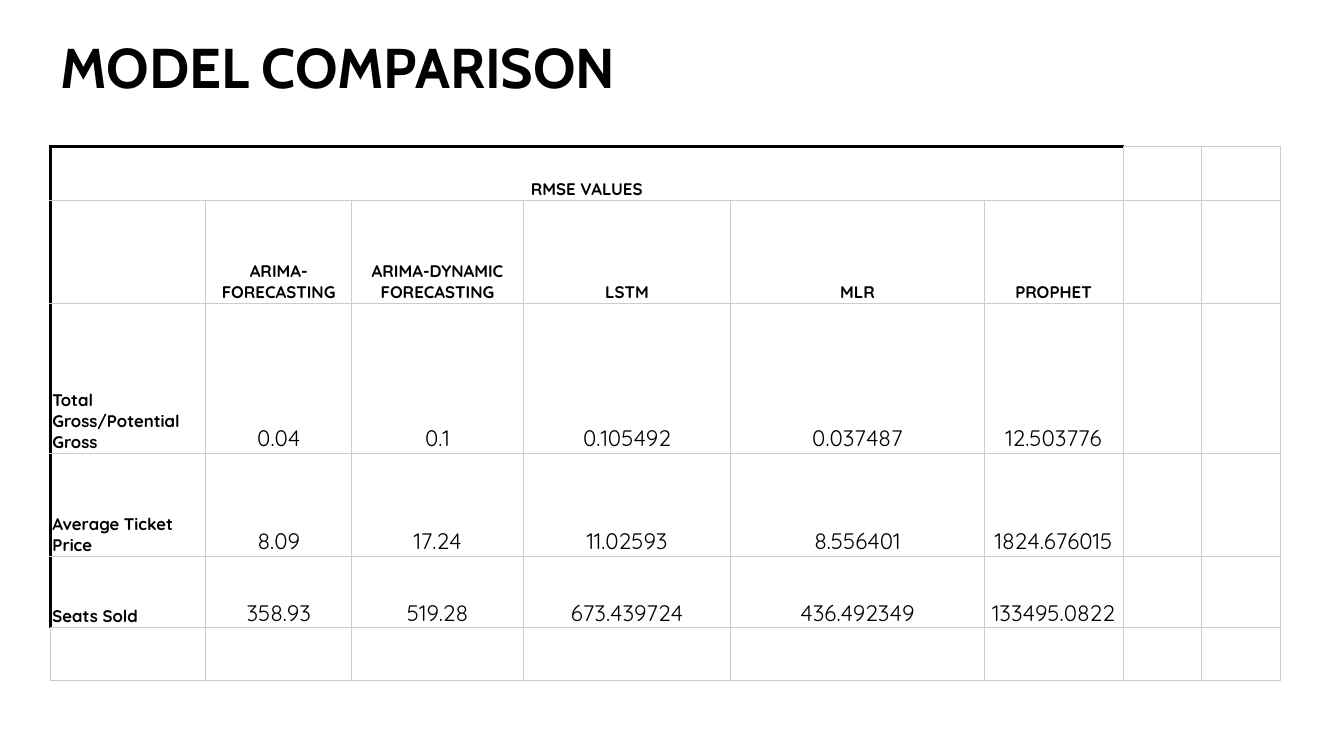
from typing import NamedTuple

import lxml.etree
import pptx
import pptx.dml.color
import pptx.enum.text
import pptx.oxml.ns
import pptx.slide
import pptx.table
import pptx.text.text
import pptx.util

PX = 9144  # EMU; 100 px to the inch
BLACK = pptx.dml.color.RGBColor(0x00, 0x00, 0x00)
WHITE = pptx.dml.color.RGBColor(0xFF, 0xFF, 0xFF)
GRID_GREY = pptx.dml.color.RGBColor(0xCC, 0xCC, 0xCC)

LEFT = pptx.enum.text.PP_ALIGN.LEFT
CENTER = pptx.enum.text.PP_ALIGN.CENTER


class TextStyle(NamedTuple):
    font: str
    size: int
    bold: bool
    align: pptx.enum.text.PP_ALIGN


class Border(NamedTuple):
    color: pptx.dml.color.RGBColor
    width: float


TITLE = TextStyle("Cabin", 40, True, LEFT)
HEADING = TextStyle("Quicksand", 12, True, CENTER)
ROW_LABEL = TextStyle("Quicksand", 12, True, LEFT)
VALUE = TextStyle("Quicksand", 16, False, CENTER)

GRID_LINE = Border(GRID_GREY, 0.75)
FRAME_LINE = Border(BLACK, 2.25)

COLUMN_WIDTHS = (154, 145, 170, 206, 251, 138, 78, 78)
ROW_HEIGHTS = (54, 102, 149, 102, 71, 52)
MODEL_COLUMNS = 6  # columns under the RMSE heading, row labels included

RMSE_ROWS = (
    ("RMSE VALUES",),
    ("", "ARIMA-FORECASTING", "ARIMA-DYNAMIC FORECASTING", "LSTM", "MLR", "PROPHET"),
    ("Total Gross/Potential Gross", "0.04", "0.1", "0.105492", "0.037487", "12.503776"),
    ("Average Ticket Price", "8.09", "17.24", "11.02593", "8.556401", "1824.676015"),
    ("Seats Sold", "358.93", "519.28", "673.439724", "436.492349", "133495.0822"),
)


def write_text(frame: pptx.text.text.TextFrame, text: str, style: TextStyle) -> None:
    para = frame.paragraphs[0]
    para.text = text
    para.alignment = style.align
    para.font.name = style.font
    para.font.size = pptx.util.Pt(style.size)
    para.font.bold = style.bold
    para.font.color.rgb = BLACK


def set_borders(cell: pptx.table._Cell, left: Border, top: Border) -> None:
    """Draw all four cell edges; right and bottom are always grid lines."""
    properties = cell._tc.get_or_add_tcPr()
    edges = {"lnL": left, "lnR": GRID_LINE, "lnT": top, "lnB": GRID_LINE}
    for position, (tag, border) in enumerate(edges.items()):
        line = lxml.etree.Element(
            pptx.oxml.ns.qn(f"a:{tag}"), w=str(pptx.util.Pt(border.width))
        )
        fill = lxml.etree.SubElement(line, pptx.oxml.ns.qn("a:solidFill"))
        lxml.etree.SubElement(fill, pptx.oxml.ns.qn("a:srgbClr"), val=str(border.color))
        properties.insert(position, line)


def style_for(row: int, column: int) -> TextStyle:
    if row < 2:
        return HEADING
    return VALUE if column else ROW_LABEL


def fill_cell(cell: pptx.table._Cell, text: str, style: TextStyle) -> None:
    cell.vertical_anchor = pptx.enum.text.MSO_ANCHOR.BOTTOM
    cell.margin_left = cell.margin_right = 2 * PX
    cell.margin_top = cell.margin_bottom = 1 * PX
    write_text(cell.text_frame, text, style)


def add_title(slide: pptx.slide.Slide) -> None:
    box = slide.shapes.add_textbox(50 * PX, 27 * PX, 828 * PX, 77 * PX)
    box.text_frame.word_wrap = True
    write_text(box.text_frame, "MODEL COMPARISON", TITLE)


def add_rmse_table(slide: pptx.slide.Slide) -> None:
    table = slide.shapes.add_table(
        len(ROW_HEIGHTS), len(COLUMN_WIDTHS), 50 * PX, 145 * PX,
        sum(COLUMN_WIDTHS) * PX, sum(ROW_HEIGHTS) * PX,
    ).table
    table.first_row = False
    table.horz_banding = False
    for column, width in zip(table.columns, COLUMN_WIDTHS):
        column.width = width * PX
    for row, height in zip(table.rows, ROW_HEIGHTS):
        row.height = height * PX

    for row in range(len(ROW_HEIGHTS)):
        for column in range(len(COLUMN_WIDTHS)):
            cell = table.cell(row, column)
            texts = RMSE_ROWS[row] if row < len(RMSE_ROWS) else ()
            text = texts[column] if column < len(texts) else ""
            style = style_for(row, column)
            if text:
                fill_cell(cell, text, style)
            if text and style is VALUE:
                cell.fill.solid()
                cell.fill.fore_color.rgb = WHITE
            else:
                cell.fill.background()
            framed_left = column == 0 and row < len(RMSE_ROWS)
            framed_top = row == 0 and column < MODEL_COLUMNS
            set_borders(
                cell,
                left=FRAME_LINE if framed_left else GRID_LINE,
                top=FRAME_LINE if framed_top else GRID_LINE,
            )
    table.cell(0, 0).merge(table.cell(0, MODEL_COLUMNS - 1))


def main() -> None:
    deck = pptx.Presentation()
    deck.slide_width = 1333 * PX
    deck.slide_height = 750 * PX
    slide = deck.slides.add_slide(deck.slide_layouts[6])
    add_title(slide)
    add_rmse_table(slide)
    deck.save("out.pptx")


if __name__ == "__main__":
    main()
